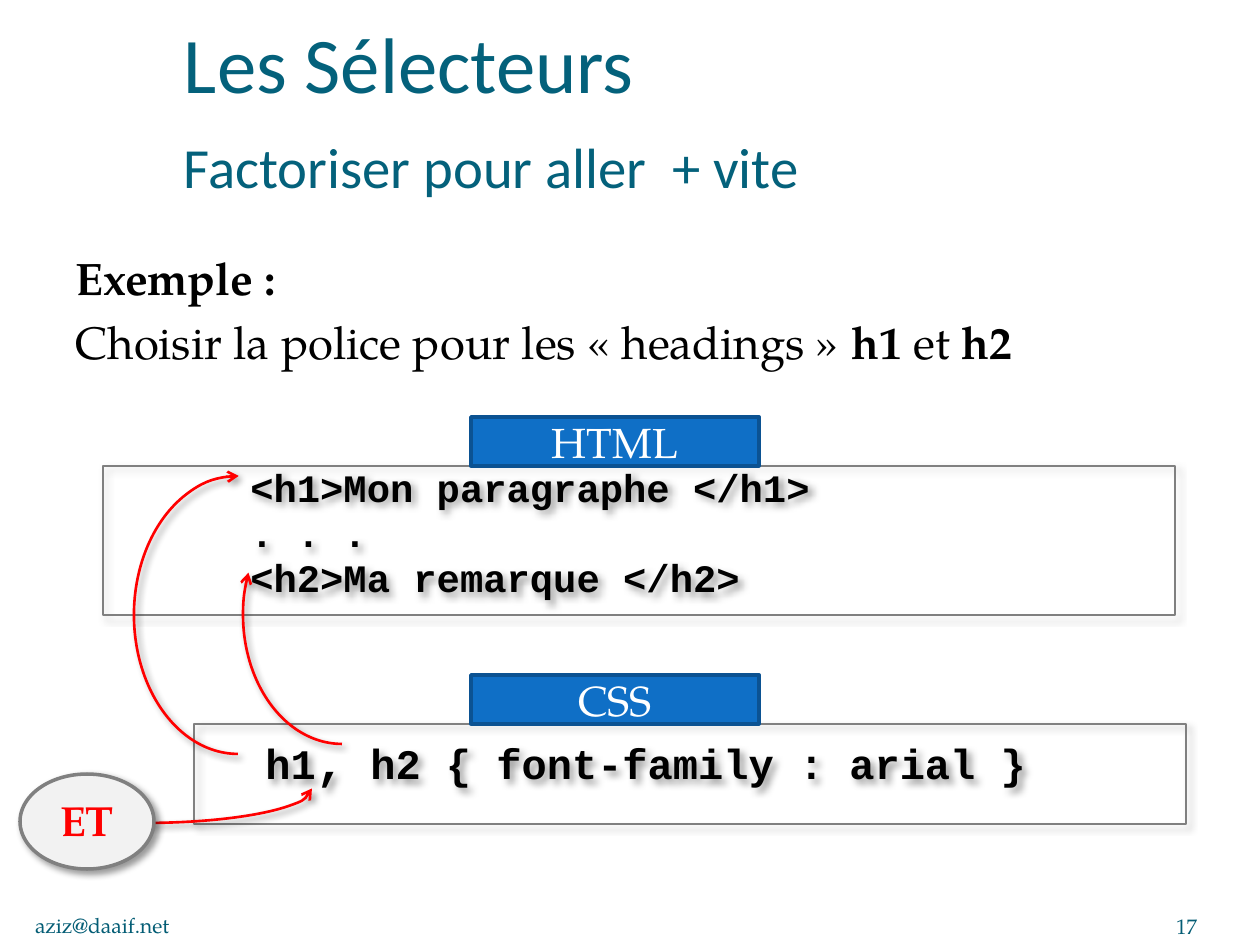
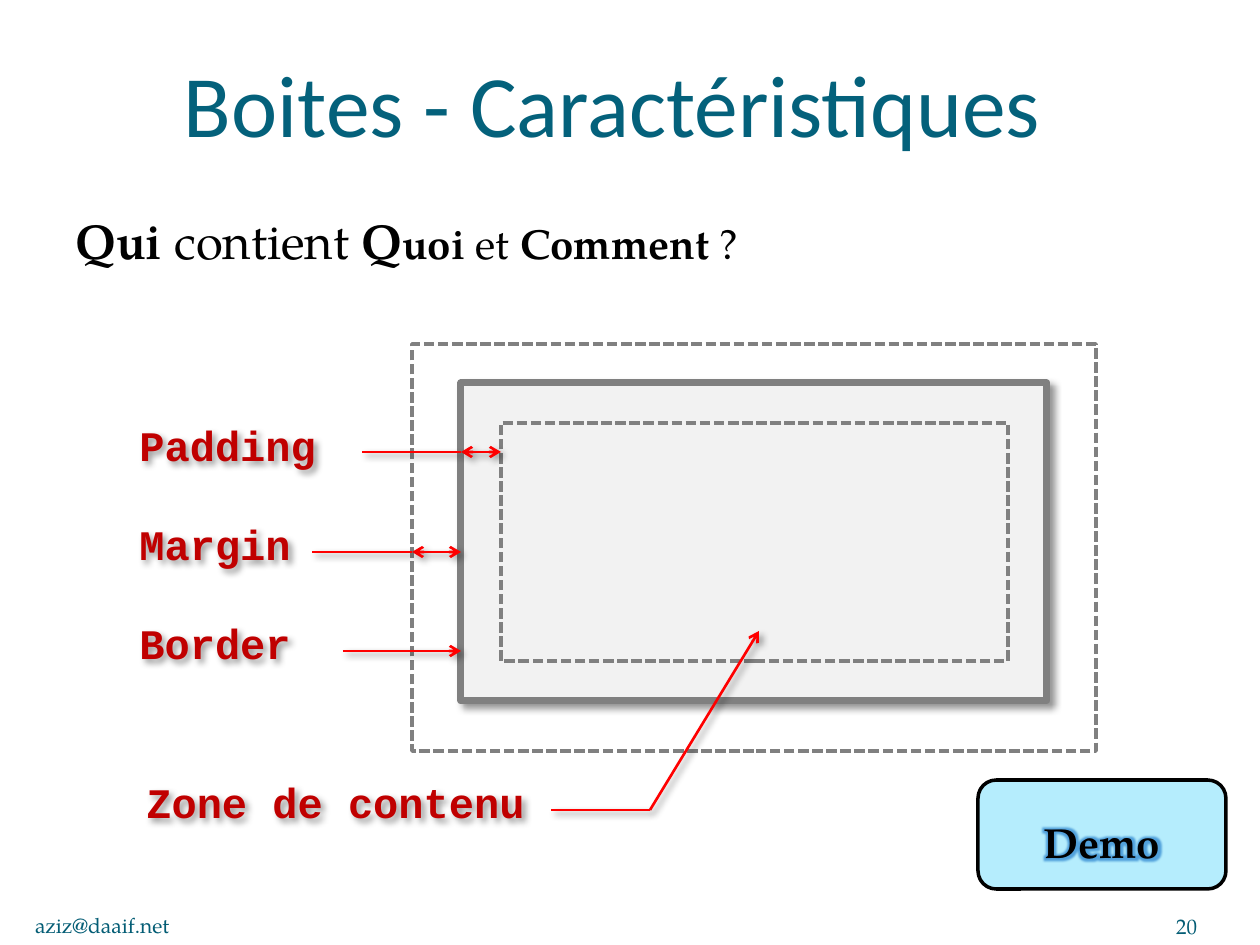
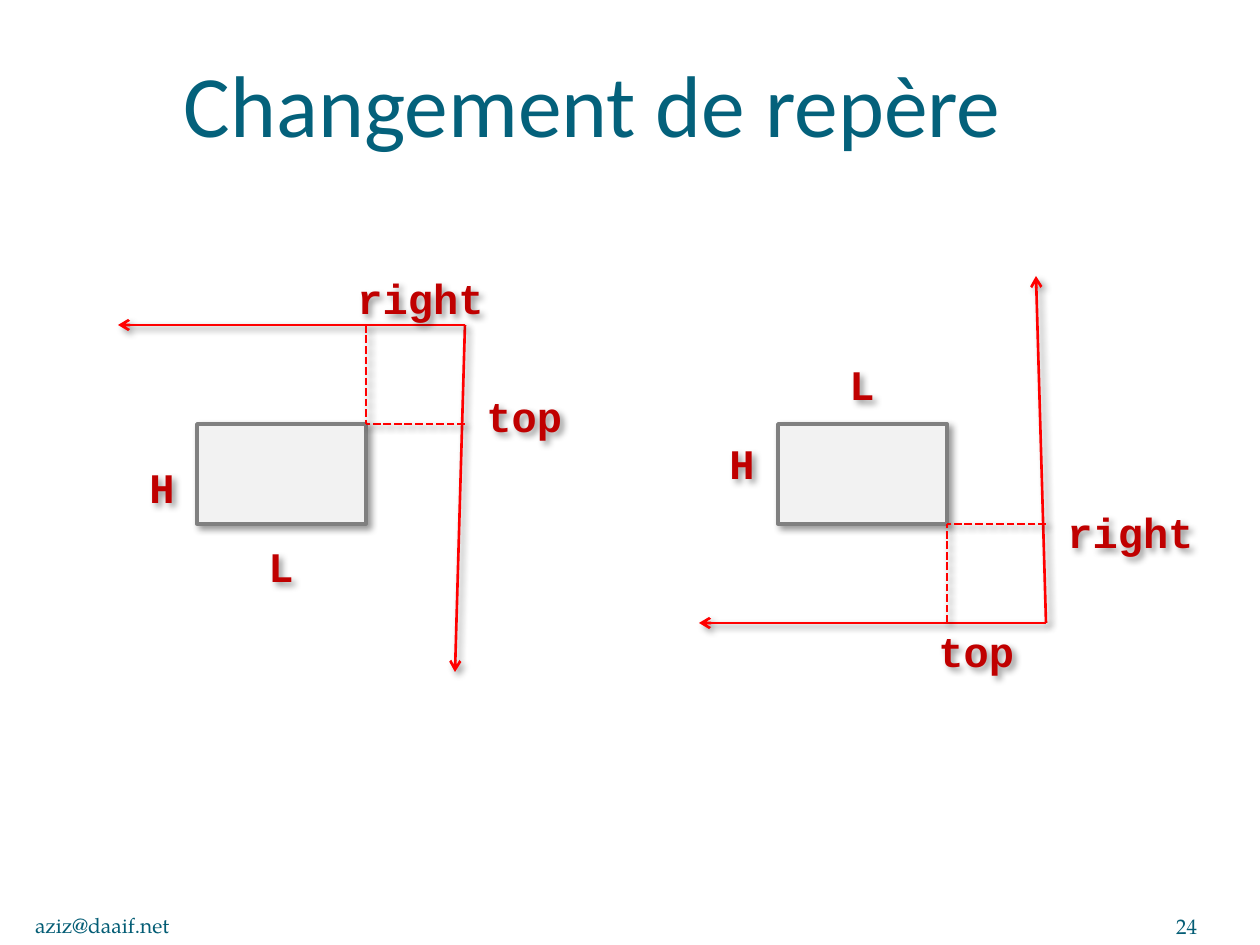
"""Build three course slides on CSS selectors, the box model and reference frames."""
import dataclasses
import typing

import lxml.etree
import pptx
import pptx.dml.color
import pptx.enum.dml
import pptx.enum.shapes
import pptx.enum.text
import pptx.oxml.ns
import pptx.util

EMU_PER_PX = 914400 / 126
RGB = pptx.dml.color.RGBColor
SHAPE = pptx.enum.shapes.MSO_SHAPE
ALIGN = pptx.enum.text.PP_ALIGN
ANCHOR = pptx.enum.text.MSO_ANCHOR

TITLE_TEAL = RGB(0x04, 0x61, 0x7B)
FOOTER_TEAL = RGB(0x04, 0x5D, 0x75)
BLACK = RGB(0, 0, 0)
WHITE = RGB(0xFF, 0xFF, 0xFF)
RED = RGB(0xFF, 0, 0)
DARK_RED = RGB(0xC0, 0, 0)
GREY = RGB(0x80, 0x80, 0x80)
PALE_GREY = RGB(0xF2, 0xF2, 0xF2)
BLUE = RGB(0x0F, 0x6F, 0xC6)
DARK_BLUE = RGB(0x0B, 0x52, 0x92)
PALE_BLUE = RGB(0xB5, 0xED, 0xFD)

HEADING_FONT = "Calibri"
BODY_FONT = "TeX Gyre Pagella"
CODE_FONT = "Courier New"


class Rect(typing.NamedTuple):
    left: int
    top: int
    width: int
    height: int


class Point(typing.NamedTuple):
    x: int
    y: int


@dataclasses.dataclass
class Run:
    text: str
    size: float
    bold: bool = False
    color: RGB = BLACK
    font: str = BODY_FONT


@dataclasses.dataclass
class Para:
    runs: list[Run]
    align: ALIGN = ALIGN.LEFT
    indent: int = 0
    line_spacing: float | None = None
    spaced: bool = False


@dataclasses.dataclass
class Box:
    rect: Rect
    line: RGB
    width: float
    fill: RGB | None = None
    kind: SHAPE = SHAPE.RECTANGLE
    dashed: bool = False
    shadowed: bool = False
    paras: list[Para] = dataclasses.field(default_factory=list)
    anchor: ANCHOR = ANCHOR.TOP


@dataclasses.dataclass
class Arc:
    rect: Rect
    start: float
    end: float
    flips: tuple[str, ...]


@dataclasses.dataclass
class Arrow:
    start: Point
    end: Point
    head: bool = False
    tail: bool = False
    dashed: bool = False


@dataclasses.dataclass
class Label:
    text: str
    left: int
    top: int


@dataclasses.dataclass
class Frame:
    origin: Point
    direction: int
    labels: list[Label]


def px(length: float) -> pptx.util.Emu:
    """Convert pixels to EMU."""
    return pptx.util.Emu(round(length * EMU_PER_PX))


def child(parent, tag: str, **attributes: str):
    """Append a DrawingML element."""
    return lxml.etree.SubElement(parent, pptx.oxml.ns.qn(tag), attributes)


def add_color(parent, color: RGB, alpha: int) -> None:
    """Append a colour with an opacity in percent."""
    child(child(parent, "a:srgbClr", val=str(color)), "a:alpha", val=str(alpha * 1000))


def set_shadow(shape, shadowed: bool) -> None:
    """Replace the theme's shadow by the deck's shadow or by none."""
    properties = shape._element.spPr
    effects = properties.find(pptx.oxml.ns.qn("a:effectLst"))
    if effects is None:
        effects = child(properties, "a:effectLst")
    if shadowed:
        outer = child(effects, "a:outerShdw", blurRad="50800", dist="38100",
                      dir="2700000", algn="tl", rotWithShape="0")
        add_color(outer, BLACK, 40)


def set_line(line, color: RGB, width: float, dashed: bool = False,
             head: bool = False, tail: bool = False) -> None:
    """Format a line and its arrowheads."""
    line.color.rgb = color
    line.width = pptx.util.Pt(width)
    if dashed:
        line.dash_style = pptx.enum.dml.MSO_LINE.SQUARE_DOT
    for tag, present in (("a:headEnd", head), ("a:tailEnd", tail)):
        if present:
            child(line._get_or_add_ln(), tag, type="arrow")


def add_run(paragraph, run: Run):
    """Add one formatted run."""
    part = paragraph.add_run()
    part.text = run.text
    part.font.size = pptx.util.Pt(run.size)
    part.font.bold = run.bold
    part.font.color.rgb = run.color
    part.font.name = run.font
    return part


def write(frame, paras: list[Para], anchor: ANCHOR = ANCHOR.TOP, wrap: bool = True) -> None:
    """Fill a text frame paragraph by paragraph."""
    frame.word_wrap = wrap
    frame.vertical_anchor = anchor
    for index, para in enumerate(paras):
        paragraph = frame.paragraphs[0] if index == 0 else frame.add_paragraph()
        paragraph.alignment = para.align
        paragraph.line_spacing = para.line_spacing
        properties = paragraph._p.get_or_add_pPr()
        if para.indent:
            properties.set("marL", str(px(para.indent)))
        if para.spaced:
            child(child(properties, "a:spcBef"), "a:spcPct", val="20000")
        for run in para.runs:
            add_run(paragraph, run)


def add_text(slide, rect: Rect, paras: list[Para], anchor: ANCHOR = ANCHOR.TOP,
             wrap: bool = True, inset: bool = True):
    """Add a text box."""
    box = slide.shapes.add_textbox(*map(px, rect))
    frame = box.text_frame
    if not inset:
        frame.margin_left = frame.margin_right = frame.margin_top = frame.margin_bottom = 0
    write(frame, paras, anchor, wrap)
    return box


def add_label(slide, label: Label) -> None:
    """Add a shadowed red code label as wide as its letters."""
    rect = Rect(label.left, label.top, 26 * len(label.text) + 26, 63)
    run = Run(label.text, 24, True, DARK_RED, CODE_FONT)
    set_shadow(add_text(slide, rect, [Para([run])], wrap=False), True)


def add_box(slide, box: Box):
    """Add a preset shape with its text."""
    shape = slide.shapes.add_shape(box.kind, *map(px, box.rect))
    shape.shadow.inherit = False
    if box.fill is None:
        shape.fill.background()
    else:
        shape.fill.solid()
        shape.fill.fore_color.rgb = box.fill
    set_line(shape.line, box.line, box.width, box.dashed)
    set_shadow(shape, box.shadowed)
    write(shape.text_frame, box.paras, box.anchor)
    return shape


def add_arc(slide, arc: Arc) -> None:
    """Add a curved red arrow."""
    shape = add_box(slide, Box(arc.rect, RED, 1.5, kind=SHAPE.ARC, shadowed=True))
    shape.adjustments[0] = arc.start
    shape.adjustments[1] = arc.end
    child(shape.line._get_or_add_ln(), "a:tailEnd", type="arrow")
    for flip in arc.flips:
        shape._element.spPr.xfrm.set(flip, "1")


def add_arrow(slide, arrow: Arrow) -> None:
    """Add a straight red line or arrow."""
    connector = slide.shapes.add_connector(
        pptx.enum.shapes.MSO_CONNECTOR.STRAIGHT, *map(px, (*arrow.start, *arrow.end)))
    set_line(connector.line, RED, 1.5, arrow.dashed, arrow.head, arrow.tail)
    set_shadow(connector, True)


def add_slide(deck, page: int, rect: Rect, lines: list[list[Run]]):
    """Add a slide with its title, address and page number."""
    slide = deck.slides.add_slide(deck.slide_layouts[5])
    title = slide.shapes.title
    title.left, title.top, title.width, title.height = map(px, rect)
    frame = title.text_frame
    frame.auto_size = pptx.enum.text.MSO_AUTO_SIZE.NONE
    frame.margin_left = frame.margin_right = frame.margin_bottom = 0
    frame.margin_top = px(6)
    write(frame, [Para(lines[0])], ANCHOR.BOTTOM)
    for line in lines[1:]:
        frame.paragraphs[0].add_line_break()
        for run in line:
            add_run(frame.paragraphs[0], run)
    for text, place, align in (("aziz@daaif.net", Rect(35, 888, 462, 50), ALIGN.LEFT),
                               (str(page), Rect(1092, 889, 105, 50), ALIGN.RIGHT)):
        footer = Para([Run(text, 12, color=FOOTER_TEAL)], align)
        add_text(slide, place, [footer], ANCHOR.BOTTOM, inset=False)
    return slide


def heading(text: str, size: float = 50) -> Run:
    """Return a title run."""
    return Run(text, size, color=TITLE_TEAL, font=HEADING_FONT)


def code(text: str, size: float) -> Run:
    """Return a bold code run."""
    return Run(text, size, True, font=CODE_FONT)


def build_selectors(deck) -> None:
    """Build the slide on grouped selectors."""
    slide = add_slide(deck, 17, Rect(184, -4, 1013, 208), [
        [heading("Les Sélecteurs", 45)],
        [heading("Factoriser pour aller  + vite", 32.4), heading(" ", 45)]])
    add_text(slide, Rect(63, 244, 1134, 505), [
        Para([Run("Exemple :", 26, True)], spaced=True),
        Para([Run("Choisir la police pour les « headings » ", 26), Run("h1", 26, True),
              Run(" et ", 26), Run("h2", 26, True)], spaced=True)])
    markup = [Para([code(text, 22.2)], indent=135, line_spacing=0.8, spaced=True)
              for text in ("<h1>Mon paragraphe </h1>", ". . .", "<h2>Ma remarque </h2>")]
    rule = Para([code("h1", 24), code(",", 28), code(" h2 { font-family : arial }", 24)],
                indent=59, spaced=True)
    for rect, paras in ((Rect(103, 466, 1072, 149), markup), (Rect(194, 724, 992, 100), [rule])):
        add_box(slide, Box(rect, GREY, 0.75, shadowed=True, paras=paras))
    for language, top in (("HTML", 417), ("CSS", 675)):
        caption = Para([Run(language, 24, color=WHITE)], ALIGN.CENTER)
        add_box(slide, Box(Rect(471, top, 288, 49), DARK_BLUE, 2, BLUE,
                           paras=[caption], anchor=ANCHOR.MIDDLE))
    for arc in (Arc(Rect(134, 476, 208, 278), 162, 54.18, ("flipH", "flipV")),
                Arc(Rect(243, 486, 198, 258), 162, 14.58, ("flipH", "flipV")),
                Arc(Rect(-25, 754, 337, 69), 161.27, 0, ("flipV",))):
        add_arc(slide, arc)
    conjunction = Para([Run("ET", 24, True, RED)], ALIGN.CENTER)
    add_box(slide, Box(Rect(20, 774, 134, 95), GREY, 2, PALE_GREY, SHAPE.OVAL,
                       shadowed=True, paras=[conjunction]))


def build_box_model(deck) -> None:
    """Build the slide on margin, border, padding and content."""
    slide = add_slide(deck, 20, Rect(184, 0, 1013, 155), [[heading("Boites - Caractéristiques")]])
    add_text(slide, Rect(63, 204, 1134, 667), [Para([
        Run("Qui", 28, True), Run(" contient ", 28), Run("Q", 28, True), Run("uoi", 24, True),
        Run(" et ", 24), Run("Comment", 24, True), Run(" ?", 24)], spaced=True)])
    for box in (Box(Rect(412, 344, 684, 407), GREY, 2, dashed=True),
                Box(Rect(461, 383, 586, 318), GREY, 4, PALE_GREY, shadowed=True),
                Box(Rect(501, 423, 507, 238), GREY, 2, dashed=True)):
        add_box(slide, box)
    corner = Point(650, 810)
    for arrow in (Arrow(Point(461, 452), Point(501, 452), head=True, tail=True),
                  Arrow(Point(461, 452), Point(362, 452)),
                  Arrow(Point(412, 552), Point(461, 552), head=True, tail=True),
                  Arrow(Point(412, 552), Point(312, 552)),
                  Arrow(Point(343, 651), Point(461, 651), tail=True),
                  Arrow(corner, Point(759, 631), tail=True),
                  Arrow(corner, Point(551, 810))):
        add_arrow(slide, arrow)
    for row, part in enumerate(("Padding", "Margin", "Border")):
        add_label(slide, Label(part, 127, 413 + 99 * row))
    add_label(slide, Label("Zone de contenu", 134, 770))
    demo = add_box(slide, Box(
        Rect(978, 780, 248, 109), BLACK, 2, PALE_BLUE, SHAPE.ROUNDED_RECTANGLE,
        paras=[Para([Run("Demo", 24, True)], ALIGN.CENTER, line_spacing=1.5)]))
    properties = demo.text_frame.paragraphs[0].runs[0]._r.get_or_add_rPr()
    effects = child(properties, "a:effectLst")
    add_color(child(effects, "a:glow", rad="101600"), BLUE, 60)
    properties.find(pptx.oxml.ns.qn("a:solidFill")).addnext(effects)


def add_frame(slide, frame: Frame) -> None:
    """Draw two axes, the offset box and its dashed guides."""
    axis, offset, width, height = 347, 99, 169, 100
    x, y = frame.origin
    corner = Point(x - offset, y + offset * frame.direction)
    add_arrow(slide, Arrow(frame.origin, Point(x - 10, y + axis * frame.direction), tail=True))
    add_arrow(slide, Arrow(frame.origin, Point(x - axis, y), tail=True))
    top = corner.y if frame.direction > 0 else corner.y - height
    add_box(slide, Box(Rect(corner.x - width, top, width, height), GREY, 2, PALE_GREY,
                       shadowed=True))
    for start in (Point(x, corner.y), Point(corner.x, y)):
        add_arrow(slide, Arrow(start, corner, dashed=True))
    for label in frame.labels:
        add_label(slide, label)


def build_frames(deck) -> None:
    """Build the slide on changing the reference frame."""
    slide = add_slide(deck, 24, Rect(184, 0, 1013, 155), [[heading("Changement de repère")]])
    for frame in (
            Frame(Point(465, 325), 1, [Label("L", 256, 534), Label("H", 137, 455),
                                       Label("top", 474, 384), Label("right", 345, 266)]),
            Frame(Point(1046, 623), -1, [Label("L", 837, 352), Label("H", 717, 431),
                                         Label("right", 1055, 500), Label("top", 926, 619)])):
        add_frame(slide, frame)


def main() -> None:
    """Build and save the deck."""
    deck = pptx.Presentation()
    deck.slide_width, deck.slide_height = px(1260), px(945)
    build_selectors(deck)
    build_box_model(deck)
    build_frames(deck)
    deck.save("out.pptx")


if __name__ == "__main__":
    main()
